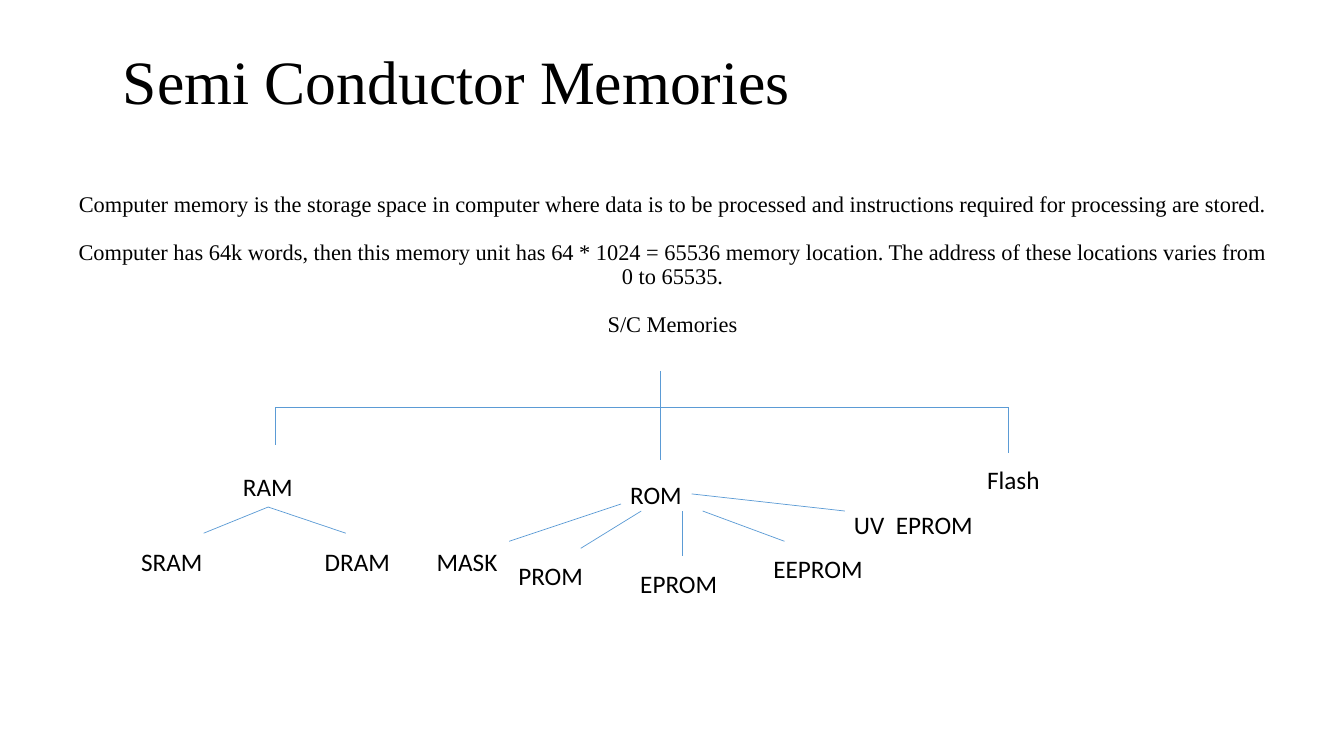
from dataclasses import dataclass

from lxml.etree import SubElement
from pptx import Presentation
from pptx.dml.color import RGBColor
from pptx.enum.shapes import MSO_CONNECTOR
from pptx.enum.text import MSO_ANCHOR, PP_ALIGN
from pptx.oxml.ns import qn
from pptx.util import Inches, Pt


@dataclass(frozen=True)
class Theme:
    ink: RGBColor = RGBColor(0, 0, 0)
    rule: RGBColor = RGBColor(0x5B, 0x9B, 0xD5)
    serif: str = "Times New Roman"
    sans: str = "Calibri"
    head: int = 44
    body: int = 16
    node: int = 18
    thin: float = 0.5


THEME = Theme()

INTRO = [
    "Computer memory is the storage space in computer where data is to be "
    "processed and instructions required for processing are stored.",
    "Computer has 64k words, then this memory unit has 64 * 1024 = 65536 memory "
    "location. The address of these locations varies from 0 to 65535.",
    "S/C Memories",
]

# Lengths in inches from the corner of the tree.
TRUNK, BUS = 5.3, 0.36
SLACK = 0.06  # spare label width that keeps each name on one line
# Name, label box (left, top, width), drop from the bus (x, end y)
KINDS = [
    ("RAM", (1.07, 0.95, 0.68), (1.48, 0.73)),
    ("ROM", (4.91, 1.03, 0.7), (TRUNK, 0.88)),
    ("Flash", (8.45, 0.88, 0.76), (8.75, 0.81)),
]
# Name, label box (left, top, width), branch start, branch end
TYPES = [
    ("SRAM", (0.06, 1.69, 0.79), (1.41, 1.35), (0.77, 1.61)),
    ("DRAM", (1.88, 1.69, 0.84), (1.41, 1.35), (2.18, 1.61)),
    ("MASK", (2.99, 1.69, 1.41), (4.91, 1.32), (3.8, 1.69)),
    ("PROM", (3.8, 1.83, 0.83), (5.11, 1.39), (4.51, 1.76)),
    ("EPROM", (5.01, 1.91, 0.95), (5.52, 1.39), (5.52, 1.84)),
    ("EEPROM", (6.33, 1.76, 1.07), (5.72, 1.39), (6.53, 1.69)),
    ("UV  EPROM", (7.13, 1.32, 1.37), (5.61, 1.22), (7.13, 1.39)),
]


def write(slide, box, lines, font=THEME.sans, size=THEME.node, inset=0.1,
          align=PP_ALIGN.LEFT, anchor=MSO_ANCHOR.TOP, lead=1.0, gap=0):
    """Add a text box with one paragraph per line, gap points apart."""
    frame = slide.shapes.add_textbox(*map(Inches, box)).text_frame
    frame.word_wrap = True
    frame.margin_left = frame.margin_right = Inches(inset)
    frame.vertical_anchor = anchor
    for i, line in enumerate(lines):
        para = frame.paragraphs[0] if i == 0 else frame.add_paragraph()
        para.alignment = align
        para.line_spacing = lead
        if i:
            para.space_before = Pt(gap)
        run = para.add_run()
        run.text = line
        run.font.name = font
        run.font.size = Pt(size)
        run.font.color.rgb = THEME.ink


def link(slide, start, end):
    line = slide.shapes.add_connector(
        MSO_CONNECTOR.STRAIGHT, *map(Inches, (*start, *end)))
    line.line.color.rgb = THEME.rule
    line.line.width = Pt(THEME.thin)
    SubElement(line._element.spPr, qn("a:effectLst"))


def title(slide, box):
    write(slide, box, ["Semi Conductor Memories"], font=THEME.serif,
          size=THEME.head, lead=0.9)


def intro(slide, box):
    write(slide, box, INTRO, font=THEME.serif, size=THEME.body, lead=0.9,
          align=PP_ALIGN.CENTER, anchor=MSO_ANCHOR.MIDDLE, gap=17)


def tree(slide, left, top):
    def at(x, y):
        return left + x, top + y

    def label(name, spot):
        x, y, width = spot
        write(slide, (*at(x, y), width + SLACK, 0.39), [name], inset=0.09)

    link(slide, at(TRUNK, 0), at(TRUNK, BUS))
    for name, spot, (x, end) in KINDS:
        if x != TRUNK:
            link(slide, at(TRUNK, BUS), at(x, BUS))
        link(slide, at(x, BUS), at(x, end))
        label(name, spot)
    for name, spot, start, end in TYPES:
        link(slide, at(*start), at(*end))
        label(name, spot)


def main():
    deck = Presentation()
    deck.slide_width, deck.slide_height = Inches(13.33), Inches(7.5)
    slide = deck.slides.add_slide(deck.slide_layouts[6])
    title(slide, (1.12, 0.46, 11.1, 0.85))
    intro(slide, (0.61, 1.54, 12.12, 2.19))
    tree(slide, 1.25, 3.68)
    deck.save("out.pptx")


if __name__ == "__main__":
    main()
